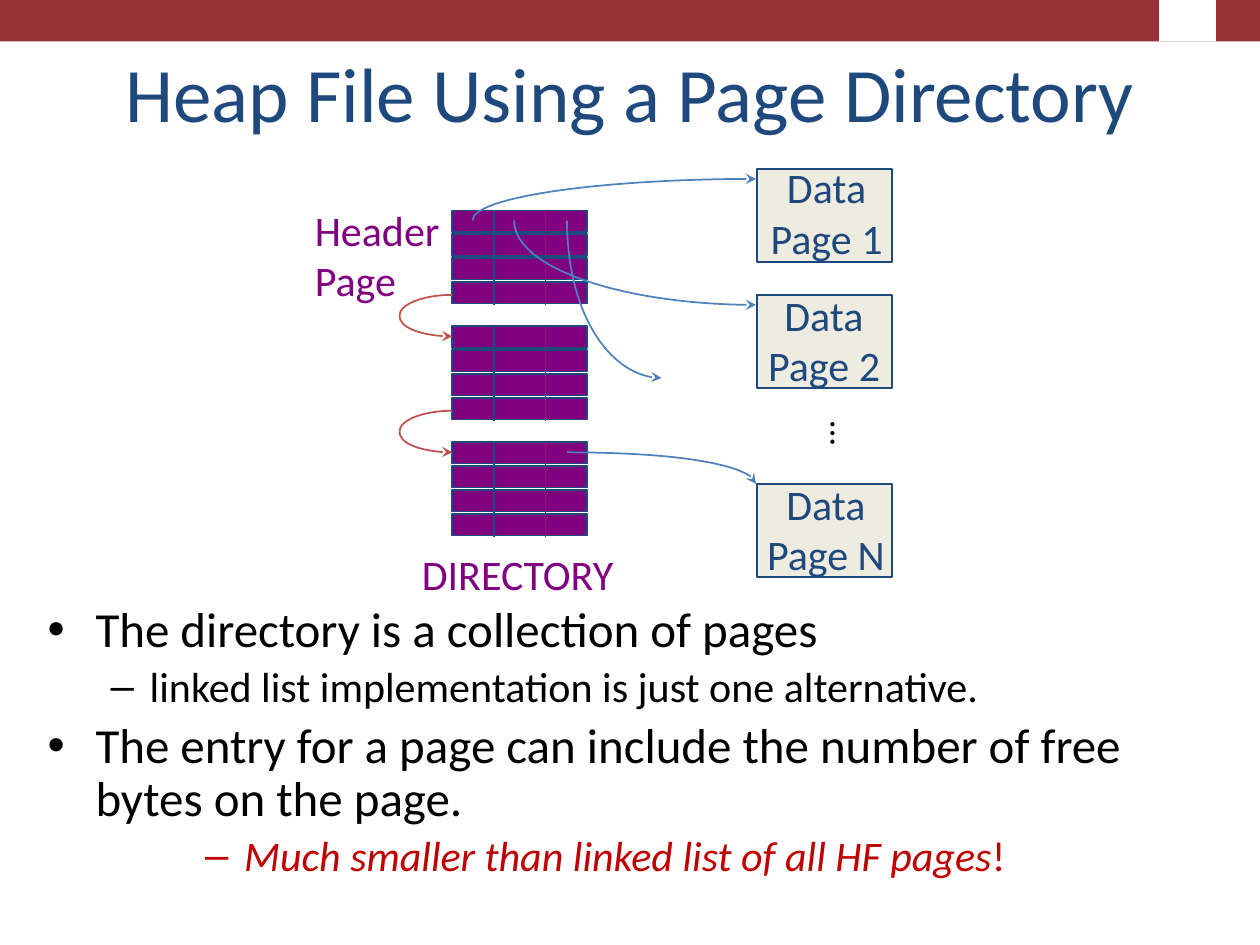
from lxml import etree
from pptx import Presentation
from pptx.dml.color import RGBColor
from pptx.enum import shapes, text
from pptx.oxml import ns
from pptx.util import Inches, Pt

NAVY = RGBColor(0x1F, 0x49, 0x7D)
BLUE = RGBColor(0x4F, 0x81, 0xBD)
RED = RGBColor(0xC0, 0x50, 0x4D)
DARK_RED = RGBColor(0xC0, 0x00, 0x00)
MAROON = RGBColor(0x96, 0x32, 0x37)
PURPLE = RGBColor(0x80, 0x00, 0x80)
CREAM = RGBColor(0xEE, 0xEC, 0xE1)
BLACK = RGBColor(0, 0, 0)
WHITE = RGBColor(0xFF, 0xFF, 0xFF)

TITLE = "Heap File Using a Page Directory"
BULLETS = [
    (0, 0.38, -0.38, "•", 28, BLACK, [("The directory is a collection of pages", False)]),
    (1, 0.81, -0.31, "–", 24, BLACK,
     [("linked list implementation is just one alternative.", False)]),
    (0, 0.38, -0.38, "•", 28, BLACK,
     [("The entry for a page can include the number of free bytes on the page.", False)]),
    (1, 1.56, -0.31, "–", 24, DARK_RED,
     [("Much smaller than linked list of all HF pages", True), ("!", False)]),
]
DATA_PAGES = [
    (1.34, (6, 1.23, 1.12, 0.91), "Page 1"),
    (2.34, (5.98, 2.24, 1.12, 0.91), "Page 2"),
    (3.84, (5.98, 3.74, 1.15, 0.91), "Page N"),
]
LABELS = [
    ((2.4, 1.57, 1.21, 0.91), ["Header", "Page"]),
    ((3.25, 4.3, 1.74, 0.51), ["DIRECTORY"]),
]
POINTERS = [
    ((3.75, 1.75), (6, 1.42), True),
    ((4.08, 1.75), (6, 2.42), True),
    ((4.5, 1.75), (5.25, 3), True),
    ((4.5, 3.59), (6, 3.84), False),
]
DIR_LEFT, DIR_TOP, DIR_WIDTH, DIR_PITCH, DIR_COUNT = 3.59, 1.67, 1.07, 0.92, 3
ROWS, ROW_HEIGHT, ROW_PITCH = 4, 0.17, 0.19
DIVIDERS = [3.92, 4.33]
PAGE_LEFT, PAGE_WIDTH, PAGE_HEIGHT = 6.01, 1.07, 0.74
LOOP_LEFT, LOOP_TOP, LOOP_HALF = 3.17, 2.34, 0.165
CURVE = 0.55

prs = Presentation()
prs.slide_width, prs.slide_height = Inches(10), Inches(7.5)
s = prs.slides.add_slide(prs.slide_layouts[6])


def add_rect(box, fill, line=None):
    sp = s.shapes.add_shape(shapes.MSO_SHAPE.RECTANGLE, *map(Inches, box))
    sp.shadow.inherit = False
    sp.fill.solid()
    sp.fill.fore_color.rgb = fill
    if line is None:
        sp.line.fill.background()
    else:
        sp.line.color.rgb = line
        sp.line.width = Pt(1)


def add_run(p, words, size, color, italic=False):
    r = p.add_run()
    r.text = words
    for name, value in {"name": "Calibri", "size": Pt(size), "italic": italic}.items():
        setattr(r.font, name, value)
    r.font.color.rgb = color


def add_text(box, lines, size, color, align=text.PP_ALIGN.LEFT,
             anchor=text.MSO_ANCHOR.TOP, wrap=True):
    sp = s.shapes.add_textbox(*map(Inches, box))
    tf = sp.text_frame
    tf.word_wrap = wrap
    tf.vertical_anchor = anchor
    for i, line in enumerate(lines):
        p = tf.add_paragraph() if i else tf.paragraphs[0]
        p.alignment = align
        add_run(p, line, size, color)
    return sp


def add_divider(x, top, bottom):
    c = s.shapes.add_connector(shapes.MSO_CONNECTOR.STRAIGHT,
                               *map(Inches, (x, top, x, bottom)))
    c.line.color.rgb = NAVY
    c.line.width = Pt(1)
    etree.SubElement(c.element.spPr, ns.qn("a:effectLst"))


def add_curve(start, end, vertical_start, color, arrow=True):
    builder = s.shapes.build_freeform(*map(Inches, start))
    builder.add_line_segments([tuple(map(Inches, end))], close=False)
    sp = builder.convert_to_shape()
    sp.shadow.inherit = False
    sp.fill.background()
    sp.line.color.rgb = color
    sp.line.width = Pt(1)
    x0, y0, x1, y1 = [int(pt.get(axis)) for pt in sp.element.xpath(".//a:path//a:pt")
                      for axis in ("x", "y")]
    corner = (x0, y1) if vertical_start else (x1, y0)
    controls = [tuple(round(a + (b - a) * CURVE) for a, b in zip(point, corner))
                for point in ((x0, y0), (x1, y1))]
    segment = sp.element.xpath(".//a:lnTo")[0]
    bezier = etree.Element(ns.qn("a:cubicBezTo"))
    for x, y in controls + [(x1, y1)]:
        etree.SubElement(bezier, ns.qn("a:pt"), x=str(x), y=str(y))
    segment.getparent().replace(segment, bezier)
    if arrow:
        etree.SubElement(sp.element.xpath("./p:spPr/a:ln")[0], ns.qn("a:tailEnd"),
                         type="stealth")


def add_bullets(box):
    tf = s.shapes.add_textbox(*map(Inches, box)).text_frame
    tf.word_wrap = True
    for i, (level, margin, indent, mark, size, color, runs) in enumerate(BULLETS):
        p = tf.add_paragraph() if i else tf.paragraphs[0]
        formats = {"level": level, "line_spacing": 0.9, "space_before": Pt(size * 0.2)}
        for name, value in formats.items():
            setattr(p, name, value)
        pPr = p._p.get_or_add_pPr()
        pPr.set("marL", str(Inches(margin)))
        pPr.set("indent", str(Inches(indent)))
        etree.SubElement(pPr, ns.qn("a:buFont"), typeface="Arial")
        etree.SubElement(pPr, ns.qn("a:buChar"), char=mark)
        for words, italic in runs:
            add_run(p, words, size, color, italic)


add_rect((0, 0, 10, 0.33), MAROON)
add_rect((9.2, 0, 0.45, 0.33), WHITE)
add_text((0, 0.34, 10, 0.8), [TITLE], 44, NAVY,
         text.PP_ALIGN.CENTER, text.MSO_ANCHOR.BOTTOM)
add_bullets((0.28, 4.75, 9.29, 2.67))

for n in range(DIR_COUNT):
    top = DIR_TOP + n * DIR_PITCH
    for row in range(ROWS):
        add_rect((DIR_LEFT, top + row * ROW_PITCH, DIR_WIDTH, ROW_HEIGHT), PURPLE, NAVY)
    for x in DIVIDERS:
        add_divider(x, top, top + 0.75)

for top, box, name in DATA_PAGES:
    add_rect((PAGE_LEFT, top, PAGE_WIDTH, PAGE_HEIGHT), CREAM, NAVY)
    add_text(box, ["Data", name], 24, NAVY,
             text.PP_ALIGN.CENTER, text.MSO_ANCHOR.MIDDLE)

for box, lines in LABELS:
    add_text(box, lines, 24, PURPLE, wrap=False)

for n in range(DIR_COUNT - 1):
    top = LOOP_TOP + n * DIR_PITCH
    middle = (LOOP_LEFT, top + LOOP_HALF)
    add_curve((DIR_LEFT, top), middle, False, RED, arrow=False)
    add_curve(middle, (DIR_LEFT, top + 2 * LOOP_HALF), True, RED)

for start, end, vertical_start in POINTERS:
    add_curve(start, end, vertical_start, BLUE)

add_text((6.32, 3.22, 0.39, 0.44), ["…"], 20, BLACK, wrap=False).rotation = 270

prs.save("out.pptx")
